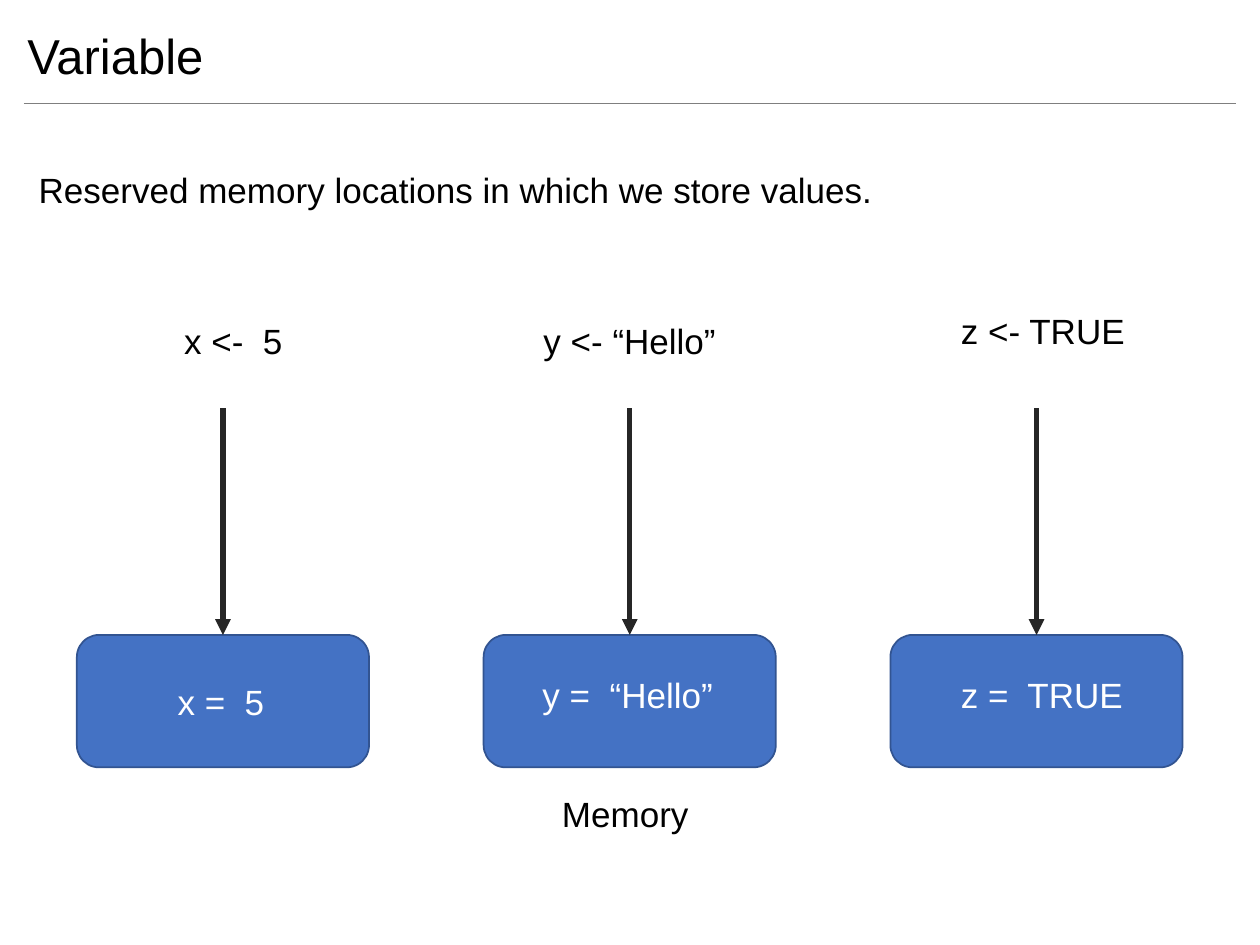
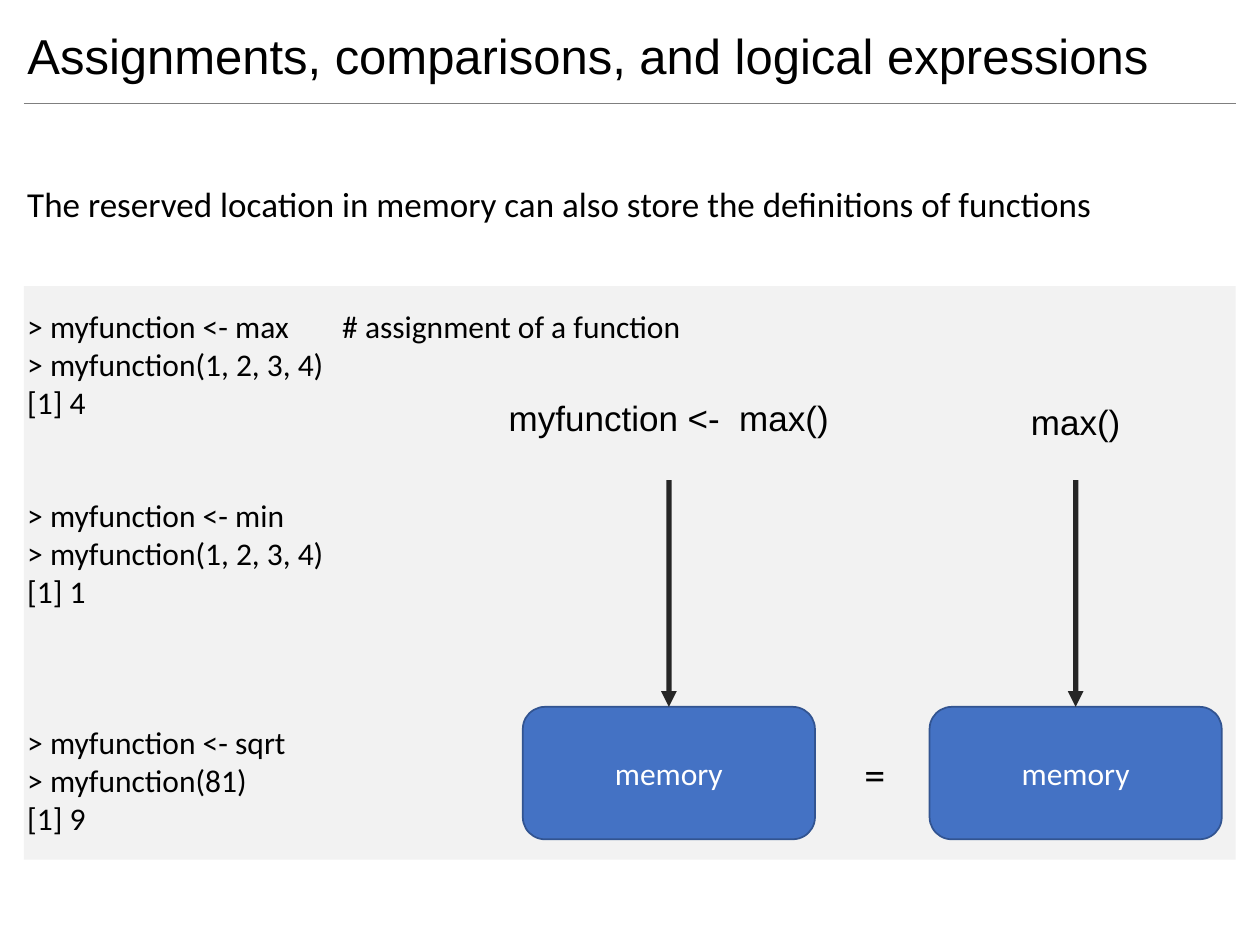
from lxml import etree
from pptx import Presentation
from pptx import util as u
from pptx.dml.color import RGBColor
from pptx.enum import shapes, text
from pptx.oxml import ns
from pptx.util import Cm

BLACK = RGBColor(0x00, 0x00, 0x00)
WHITE = RGBColor(0xFF, 0xFF, 0xFF)
RULE_GRAY = RGBColor(0x7F, 0x7F, 0x7F)
ARROW_GRAY = RGBColor(0x26, 0x26, 0x26)
PANEL_GRAY = RGBColor(0xF2, 0xF2, 0xF2)
MEMORY_BLUE = RGBColor(0x44, 0x72, 0xC4)
MEMORY_EDGE = RGBColor(0x32, 0x54, 0x91)

# Lengths in centimetres
MARGIN, CONTENT_WIDTH = 0.48, 24.43
TEXT_LEFT = 0.3
LINE_HEIGHT = 1.12
MEMORY_WIDTH, MEMORY_HEIGHT, MEMORY_PITCH = 5.89, 2.67, 8.2
ARROW_LENGTH = 4.57


# Shared building parts
def write(shape, lines, size=20, font="Arial", color=BLACK,
          align=text.PP_ALIGN.LEFT, anchor=text.MSO_ANCHOR.TOP,
          wrap=False, gaps=None):
    """Fill a shape with lines; gaps maps a line number to the points above it."""
    frame = shape.text_frame
    frame.word_wrap = wrap
    frame.vertical_anchor = anchor
    frame.auto_size = text.MSO_AUTO_SIZE.NONE
    for number, line in enumerate(lines.split("\n")):
        paragraph = frame.add_paragraph() if number else frame.paragraphs[0]
        paragraph.alignment = align
        paragraph.space_before = u.Pt((gaps or {}).get(number, 0))
        run = paragraph.add_run()
        run.text = line
        run.font.size = u.Pt(size)
        run.font.name = font
        run.font.color.rgb = color


def add_text(slide, lines, left, top, width, height=LINE_HEIGHT, **style):
    box = slide.shapes.add_textbox(Cm(left), Cm(top), Cm(width), Cm(height))
    write(box, lines, **style)


def add_caption(slide, line, centre, top, width, height=LINE_HEIGHT, **style):
    add_text(slide, line, centre - width / 2, top, width, height,
             align=text.PP_ALIGN.CENTER, **style)


def add_block(slide, kind, left, top, width, height, fill, edge=None):
    block = slide.shapes.add_shape(kind, Cm(left), Cm(top), Cm(width), Cm(height))
    block.shadow.inherit = False
    block.fill.solid()
    block.fill.fore_color.rgb = fill
    if edge is None:
        block.line.fill.background()
    else:
        block.line.color.rgb = edge
        block.line.width = u.Pt(1)
    return block


def add_line(slide, start_x, start_y, end_x, end_y, color, weight):
    line = slide.shapes.add_connector(
        shapes.MSO_CONNECTOR.STRAIGHT, Cm(start_x), Cm(start_y), Cm(end_x), Cm(end_y))
    line.line.color.rgb = color
    line.line.width = u.Pt(weight)
    etree.SubElement(line._element.spPr, ns.qn("a:effectLst"))
    return line


def add_memory(slide, left, top):
    """Memory cell with the arrow that points down to it."""
    cell = add_block(slide, shapes.MSO_SHAPE.ROUNDED_RECTANGLE, left, top,
                     MEMORY_WIDTH, MEMORY_HEIGHT, MEMORY_BLUE, MEMORY_EDGE)
    centre = left + MEMORY_WIDTH / 2
    arrow = add_line(slide, centre, top - ARROW_LENGTH, centre, top, ARROW_GRAY, 3)
    arrow.end_connect(cell, 0)
    etree.SubElement(arrow.line._get_or_add_ln(), ns.qn("a:tailEnd"), type="triangle")
    return cell


def add_titled_slide(presentation, title):
    slide = presentation.slides.add_slide(presentation.slide_layouts[5])
    heading = slide.shapes.title
    heading.left, heading.top = Cm(TEXT_LEFT), Cm(0.38)
    heading.width, heading.height = Cm(24.4), Cm(1.45)
    write(heading, title, size=28, wrap=True)
    add_line(slide, MARGIN, 2.08, MARGIN + CONTENT_WIDTH, 2.08, RULE_GRAY, 0.5)
    return slide


# Slide 1: variables
def add_variable_cells(slide, left, top):
    # assignment, shift from centre, rise above cell, width; same for value
    variables = [
        ("x <-  5", 0.21, 6.48, 2.51, "x =  5", -0.04, 0.79, 2.26),
        ("y <- “Hello”", 0, 6.48, 4.01, "y =  “Hello”", -0.04, 0.66, 3.99),
        ("z <- TRUE", 0.13, 6.68, 3.84, "z =  TRUE", 0.11, 0.66, 3.81),
    ]
    for column, variable in enumerate(variables):
        (assignment, shift, rise, width,
         value, value_shift, value_drop, value_width) = variable
        cell_left = left + column * MEMORY_PITCH
        centre = cell_left + MEMORY_WIDTH / 2
        add_memory(slide, cell_left, top)
        add_caption(slide, assignment, centre + shift, top - rise, width)
        add_caption(slide, value, centre + value_shift, top + value_drop,
                    value_width, color=WHITE)
    middle = left + MEMORY_PITCH + MEMORY_WIDTH / 2
    add_caption(slide, "Memory", middle - 0.09, top + 3.05, 3.07)


def build_variable_slide(presentation):
    slide = add_titled_slide(presentation, "Variable")
    add_text(slide, "Reserved memory locations in which we store values.",
             0.53, 3.28, 17.65)
    add_variable_cells(slide, 1.55, 12.8)


# Slide 2: functions stored in memory
CODE = """> myfunction <- max \t# assignment of a function
> myfunction(1, 2, 3, 4)
[1] 4
> myfunction <- min
> myfunction(1, 2, 3, 4)
[1] 1
> myfunction <- sqrt
> myfunction(81)
[1] 9"""


def add_code_panel(slide, left, top):
    add_block(slide, shapes.MSO_SHAPE.RECTANGLE, left, top,
              CONTENT_WIDTH, 11.56, PANEL_GRAY)
    add_text(slide, CODE, TEXT_LEFT, top + 0.3, 24.08, 11.79, size=18,
             font="Calibri", wrap=True, gaps={3: 43, 6: 65})


def add_function_cells(slide, left, top):
    functions = [("myfunction <-  max()", 6.38, 7.01), ("max()", 6.3, 2.34)]
    for column, (label, rise, width) in enumerate(functions):
        cell_left = left + column * MEMORY_PITCH
        cell = add_memory(slide, cell_left, top)
        write(cell, "memory", size=18, font="Calibri", color=WHITE,
              align=text.PP_ALIGN.CENTER, anchor=text.MSO_ANCHOR.MIDDLE, wrap=True)
        add_caption(slide, label, cell_left + MEMORY_WIDTH / 2, top - rise, width)
    between = left + (MEMORY_PITCH + MEMORY_WIDTH) / 2
    add_caption(slide, "=", between + 0.05, top + 0.71, 0.94, 1.27,
                size=24, font="Calibri")


def build_function_slide(presentation):
    slide = add_titled_slide(
        presentation, "Assignments, comparisons, and logical expressions")
    add_code_panel(slide, MARGIN, 5.77)
    add_text(slide, "The reserved location in memory can also store "
             "the definitions of functions", TEXT_LEFT, 3.56, 22.2, font="Calibri")
    add_function_cells(slide, 10.54, 14.25)


def main():
    presentation = Presentation()
    presentation.slide_width, presentation.slide_height = Cm(25.4), Cm(19.05)
    build_variable_slide(presentation)
    build_function_slide(presentation)
    presentation.save("out.pptx")


if __name__ == "__main__":
    main()
